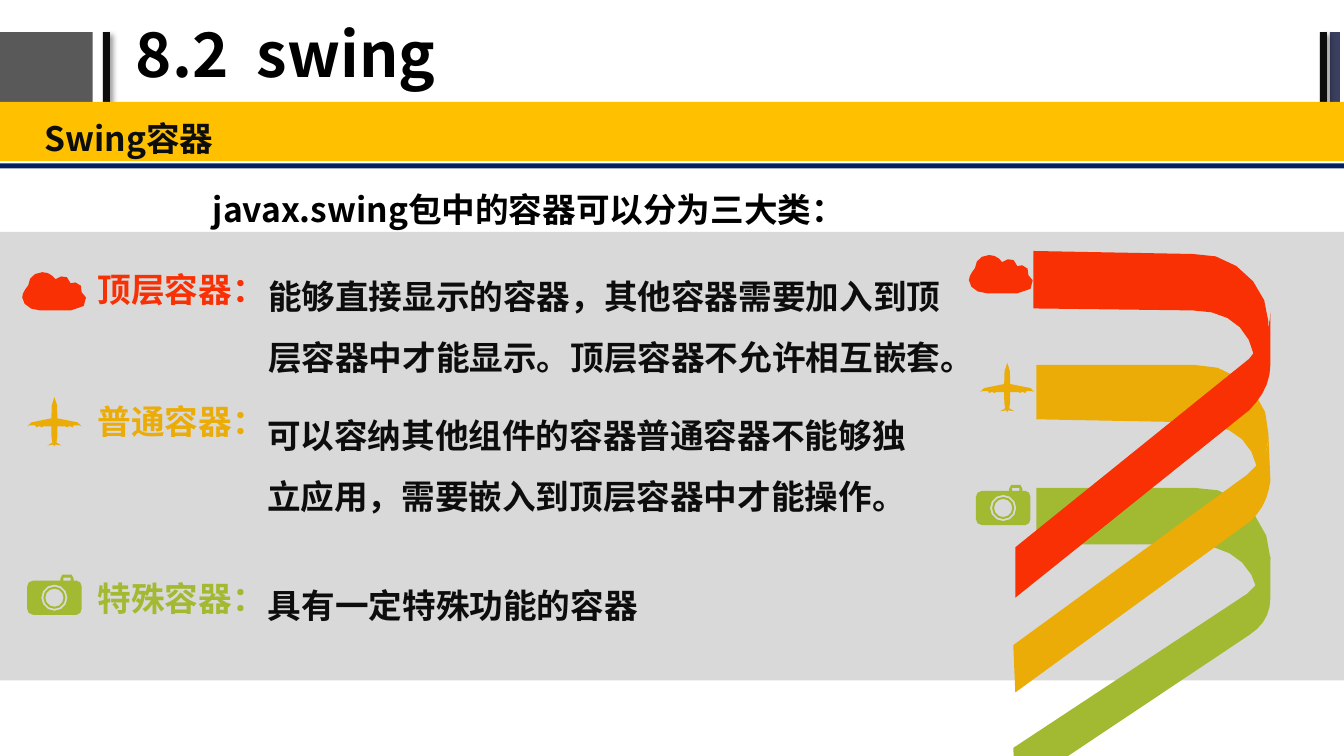
from math import cos, pi, sin

from lxml import etree
from pptx import Presentation
from pptx.dml.color import RGBColor
from pptx.enum.shapes import MSO_SHAPE
from pptx.enum.text import MSO_ANCHOR
from pptx.oxml.ns import qn
from pptx.util import Pt

RECT = MSO_SHAPE.RECTANGLE
TOP, MIDDLE = MSO_ANCHOR.TOP, MSO_ANCHOR.MIDDLE
PX = 9144  # EMU in one px, 100 px to the inch
FONT = "Noto Sans CJK SC"
COLORS = {
    "black": "000000", "ink": "0D0D0D", "slate": "595959", "indigo": "3B3F60",
    "panel": "D9D9D9", "navy": "002060", "gold": "FFC000",
    "red": "F83003", "amber": "EBAC07", "green": "A2B932",
}


def trace(steps, count):
    """Turn (x, y) lines and six-number cubic curves into points, count to a curve."""
    points = [steps[0]]
    for step in steps[1:]:
        if len(step) == 2:
            points.append(step)
            continue
        ends = [points[-1], step[:2], step[2:4], step[4:]]
        for i in range(1, count + 1):
            t = i / count
            mix = [(1 - t) ** 3, 3 * t * (1 - t) ** 2, 3 * t * t * (1 - t), t ** 3]
            points.append(tuple(sum(m * e[k] for m, e in zip(mix, ends)) for k in (0, 1)))
    return points


def circle(x, y, r, count=12):
    turns = [2 * pi * i / count for i in range(count)]
    return [(x + r * cos(a), y + r * sin(a)) for a in turns]


class Board:
    def __init__(self, slide):
        self.shapes = slide.shapes

    def paint(self, shape, color):
        shape.fill.solid()
        shape.fill.fore_color.rgb = RGBColor.from_string(COLORS[color])
        shape.line.fill.background()
        shape.shadow.inherit = False

    def rect(self, x, y, w, h, color, shade=False):
        box = self.shapes.add_shape(RECT, x * PX, y * PX, w * PX, h * PX)
        self.paint(box, color)
        if shade:
            effects = box._element.spPr.find(qn("a:effectLst"))
            drop = etree.SubElement(effects, qn("a:outerShdw"), blurRad="50800",
                                    dist="38100", dir="2700000", algn="tl", rotWithShape="0")
            tint = etree.SubElement(drop, qn("a:srgbClr"), val=COLORS["black"])
            etree.SubElement(tint, qn("a:alpha"), val="40000")

    def outline(self, paths, color, x=0, y=0):
        pen = None
        for path in paths:
            spots = [((x + px) * PX, (y + py) * PX) for px, py in path]
            if pen is None:
                pen = self.shapes.build_freeform(*spots[0], scale=1.0)
            else:
                pen.move_to(*spots[0])
            pen.add_line_segments(spots[1:], close=True)
        self.paint(pen.convert_to_shape(), color)

    def text(self, x, y, w, h, words, color="ink", size=24, lines=1.0,
             inset=(10, 5), anchor=TOP, before=0, indent=0):
        box = self.shapes.add_textbox(x * PX, y * PX, w * PX, h * PX)
        frame = box.text_frame
        frame.word_wrap = True
        frame.vertical_anchor = anchor
        frame.margin_left = frame.margin_right = inset[0] * PX
        frame.margin_top = frame.margin_bottom = inset[1] * PX
        para = frame.paragraphs[0]
        for word in words if isinstance(words, list) else [words]:
            para.add_run().text = word
        para.line_spacing = lines
        para.space_before = Pt(before)
        font = para.font
        font.name, font.size, font.bold = FONT, Pt(size), True
        font.color.rgb = RGBColor.from_string(COLORS[color])
        props = para._p.get_or_add_pPr()
        props.set("indent", str(indent * PX))
        etree.SubElement(props.find(qn("a:defRPr")), qn("a:ea"), typeface=FONT)
        return para


# Icons, each drawn from its own top left corner
CLOUD = [trace([(59, 20), (62, 12, 51, 8, 48, 11), (46, 2, 38, 3, 33, 7),
                (30, 3, 26, 0, 20, 0), (12, 0, 6, 6, 6, 13), (3, 17, 0, 21, 0, 25),
                (0, 32, 8, 38, 18, 38), (48, 38), (68, 38, 65, 21, 59, 20)], 3)]
WING = trace([(27, 0), (24, 1, 24, 13, 24, 21), (4, 25), (0, 29), (2, 28), (8, 28),
              (9, 30), (11, 29), (13, 29), (14, 30), (16, 29), (24, 29),
              (24, 38, 24, 43, 25, 45), (20, 48), (26, 47), (27, 49)], 2)
PLANE = [WING + [(54 - x, y) for x, y in WING[-2:0:-1]]]
CAMERA = [
    trace([(6, 6), (33, 6), (33, 4), (35, 0), (44, 0), (46, 4), (46, 6), (49, 6),
           (52, 6, 54, 9, 54, 12), (54, 34), (54, 37, 52, 40, 49, 40), (6, 40),
           (2, 40, 0, 37, 0, 34), (0, 12), (0, 9, 2, 6, 6, 6)], 2),
    [(36, 6), (43, 6), (43, 3), (36, 3)],
] + [circle(27, 23, r) for r in (13, 11, 9)]

# Ribbons, from back to front
RIBBONS = [
    ("green", [(1185, 540), (1219, 542, 1240, 558, 1247, 585), (1256, 576, 1258, 565, 1260, 554),
               (1260, 515, 1224, 481, 1185, 484), (1028, 484), (1028, 540)]),
    ("amber", [(1185, 419), (1219, 421, 1240, 434, 1247, 464), (1256, 452, 1258, 441, 1258, 430),
               (1260, 394, 1224, 360, 1185, 362), (1028, 362), (1028, 416)]),
    ("red", [(1183, 308), (1217, 308, 1238, 324, 1244, 353), (1254, 342, 1258, 331, 1258, 319),
             (1258, 283, 1222, 249, 1183, 252), (1025, 249), (1025, 306)]),
    ("red", [(1007, 543), (1007, 593), (1239, 407), (1252, 394, 1260, 379, 1260, 362),
             (1260, 310), (1260, 321, 1256, 332, 1249, 343), (1239, 356)]),
    ("green", [(1005, 742), (1007, 785), (1239, 630), (1253, 621, 1260, 609, 1260, 593),
               (1260, 552), (1258, 561, 1257, 570, 1249, 577), (1237, 589)]),
    ("amber", [(1005, 640), (1007, 687), (1239, 518), (1253, 506, 1258, 492, 1260, 477),
               (1258, 430), (1258, 440, 1257, 450, 1249, 459), (1237, 471)]),
]

# Kinds: colour, label and its top, icon and its two places, note and its box
KINDS = [
    ("red", "顶层容器：", 262, CLOUD, [(22, 270), (961, 253)],
     "能够直接显示的容器，其他容器需要加入到顶层容器中才能显示。顶层容器不允许相互嵌套。",
     (256, 249, 699, 122)),
    ("amber", "普通容器：", 393, PLANE, [(27, 394), (972, 360)],
     "可以容纳其他组件的容器普通容器不能够独立应用，需要嵌入到顶层容器中才能操作。",
     (255, 387, 661, 122)),
    ("green", "特殊容器：", 568, CAMERA, [(27, 570), (968, 481)],
     "具有一定特殊功能的容器", (256, 555, 606, 61)),
]


def main():
    deck = Presentation()
    deck.slide_width, deck.slide_height = 1333 * PX, 750 * PX
    board = Board(deck.slides.add_slide(deck.slide_layouts[6]))

    # Header blocks and title
    board.rect(-2, 32, 94, 76, "slate")
    board.rect(102, 32, 7, 76, "ink", shade=True)
    board.rect(1319, 32, 10, 76, "indigo")
    board.rect(1309, 32, 7, 76, "ink", shade=True)
    title = board.text(125, 2, 847, 110, ["8.2", " ", "swing"], "black", 44, 0.9, anchor=MIDDLE)
    title.runs[1]._r.get_or_add_rPr().set("spc", "1000")  # widen the gap

    # Section bar and panel
    board.rect(0, 230, 1333, 445, "panel")
    board.rect(0, 162, 1333, 5, "navy")
    board.rect(-4, 101, 1341, 59, "gold")
    board.text(31, 102, 1306, 58, "Swing容器", lines=1.2, inset=(13, 7), before=4.8)
    board.text(148, 168, 1112, 75, "javax.swing包中的容器可以分为三大类：", "black",
               lines=1.3, inset=(13, 7), indent=50)

    # Ribbons
    for color, steps in RIBBONS:
        board.outline([trace(steps, 5)], color)

    # Container kinds
    for color, label, top, icon, places, note, area in KINDS:
        board.text(87, top, 187, 50, label, color)
        board.text(*area, note, lines=1.5)
        for x, y in places:
            board.outline(icon, color, x, y)

    deck.save("out.pptx")


if __name__ == "__main__":
    main()
